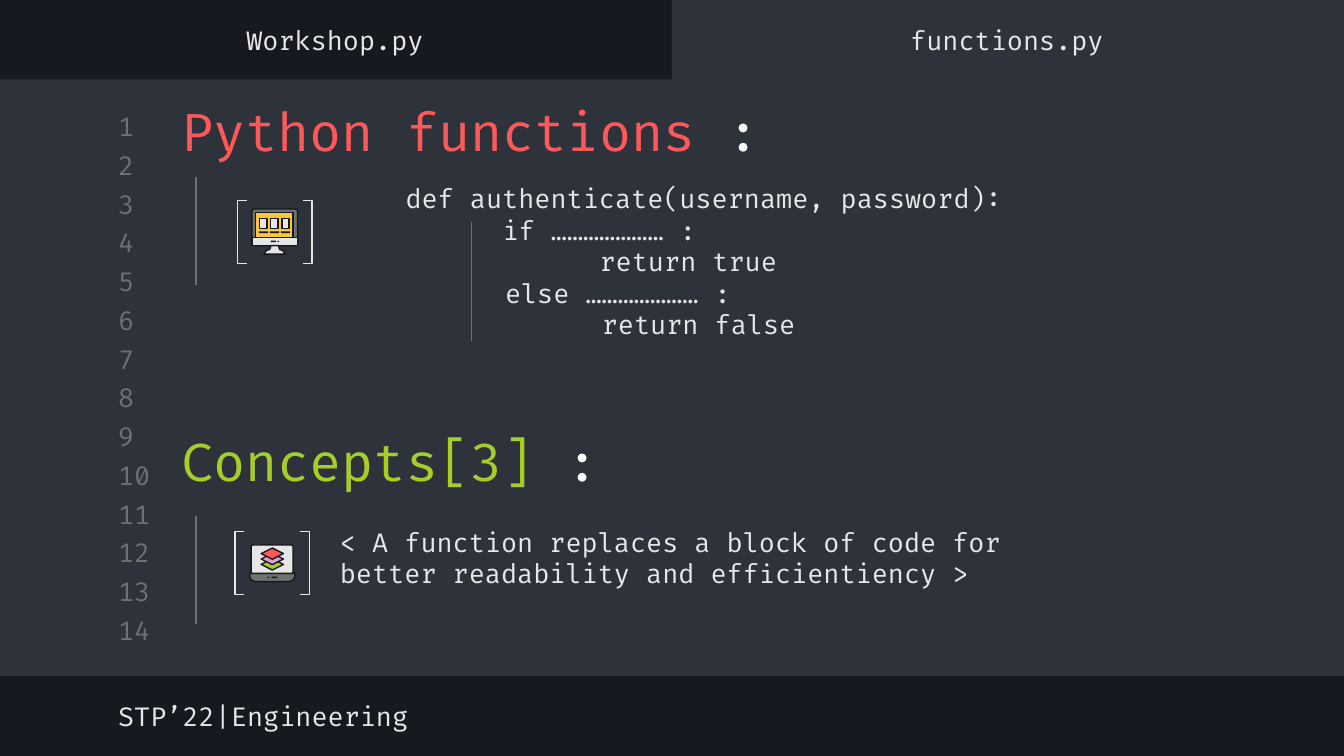
from lxml import etree
from pptx import Presentation
from pptx.dml.color import RGBColor
from pptx.enum import shapes as kinds, text as txt
from pptx.oxml import ns
from pptx.util import Pt

FONT = "Fira Code"
DARK, PANEL, GRAY, LIGHT = "16191F", "2E323B", "707070", "E7E7E7"
RED, GREEN, PINK, GOLD, WHITE = "FF5858", "A5CF27", "DBA0DB", "FCC642", "FFFFFF"
BOX = kinds.MSO_SHAPE.RECTANGLE
ROUND = kinds.MSO_SHAPE.ROUNDED_RECTANGLE
LEFT, RIGHT = kinds.MSO_SHAPE.LEFT_BRACKET, kinds.MSO_SHAPE.RIGHT_BRACKET
MID, TOP = txt.MSO_ANCHOR.MIDDLE, txt.MSO_ANCHOR.TOP


def color(code):
    return RGBColor.from_string(code)


def style(shape, fill=None, line=None, width=0.75):
    shape.shadow.inherit = False
    if fill:
        shape.fill.solid()
        shape.fill.fore_color.rgb = color(fill)
    else:
        shape.fill.background()
    if line:
        shape.line.color.rgb = color(line)
        shape.line.width = Pt(width)
    else:
        shape.line.fill.background()


def block(home, kind, area, fill=None, line=None, adj=None):
    shape = home.add_shape(kind, *map(Pt, area))
    if adj is not None:
        shape.adjustments[0] = adj
    style(shape, fill, line)


def outline(home, points, fill):
    first, *rest = [(Pt(x), Pt(y)) for x, y in points]
    pen = home.build_freeform(*first)
    pen.add_line_segments(rest, close=True)
    style(pen.convert_to_shape(), fill, DARK)


def rule(home, x, top, end):
    line = home.add_connector(kinds.MSO_CONNECTOR.STRAIGHT, Pt(x), Pt(top), Pt(x), Pt(end))
    line.line.color.rgb = color(GRAY)
    line.line.width = Pt(0.75)
    etree.SubElement(line._element.spPr, ns.qn("a:effectLst"))


def label(home, area, lines, size=14, anchor=MID, align=txt.PP_ALIGN.LEFT):
    frame = home.add_textbox(*map(Pt, area)).text_frame
    frame.word_wrap = True
    frame.vertical_anchor = anchor
    frame.margin_left = frame.margin_right = Pt(7.2)
    frame.margin_top = frame.margin_bottom = Pt(7.2)
    for i, (indent, parts) in enumerate(lines):
        para = frame.add_paragraph() if i else frame.paragraphs[0]
        para.alignment = align
        if indent:
            para._p.get_or_add_pPr().set("marL", str(Pt(indent)))
        for words, code in parts:
            run = para.add_run()
            run.text = words
            run.font.name = FONT
            run.font.size = Pt(size)
            run.font.color.rgb = color(code)


def plain(words, code=LIGHT, indent=0):
    return indent, [(words, code)]


def frame(home, left, right, top):
    pair = home.add_group_shape().shapes
    block(pair, LEFT, (left, top, 5, 33.8), line=LIGHT, adj=0)
    block(pair, RIGHT, (right, top, 5, 33.8), line=LIGHT, adj=0)


def screen(home):
    icon = home.add_group_shape().shapes
    block(icon, ROUND, (135, 112, 24.4, 19.6), GRAY, DARK, 0.06)
    block(icon, BOX, (137, 114, 20, 13.4), GOLD, DARK)
    block(icon, BOX, (135, 127.4, 24.4, 4.2), LIGHT, DARK)
    outline(icon, [(145.2, 131.6), (149.2, 131.6), (149.8, 133.6), (151.6, 134.4),
                   (152.8, 136.2), (141.4, 136.2), (142.6, 134.4), (144.6, 133.6)], LIGHT)
    for i in range(3):
        x = 139.2 + 5.9 * i
        block(icon, BOX, (x, 117.2, 3.9, 5.2), LIGHT, DARK)
        block(icon, BOX, (x - 0.5, 124, 4.9, 0.9), DARK)
    marks(icon, 145, 148.6, 129)


def laptop(home):
    icon = home.add_group_shape().shapes
    block(icon, ROUND, (134.6, 292, 22.4, 15.4), LIGHT, DARK, 0.06)
    outline(icon, [(133.7, 307.2), (158, 307.2), (157.8, 309.4), (156.8, 311),
                   (154.8, 311.6), (136.9, 311.6), (134.9, 311), (133.9, 309.4)], GRAY)
    for y, fill in ((302.4, GREEN), (299.5, PINK), (296.6, RED)):
        outline(icon, [(145.9, y - 3), (151.9, y), (145.9, y + 3), (139.9, y)], fill)
    marks(icon, 145.6, 143.4, 309)


def marks(home, bar, dot, y):
    block(home, ROUND, (bar, y, 2.8, 0.8), DARK)
    block(home, kinds.MSO_SHAPE.OVAL, (dot, y, 0.9, 0.8), DARK)


def main():
    deck = Presentation()
    deck.slide_width, deck.slide_height = Pt(720), Pt(405)
    slide = deck.slides.add_slide(deck.slide_layouts[6])
    slide.background.fill.solid()
    slide.background.fill.fore_color.rgb = color(DARK)
    home = slide.shapes

    block(home, BOX, (0, 42.5, 720, 319.7), PANEL)
    block(home, BOX, (360, 0, 360, 46.8), PANEL)
    for i in range(14):
        label(home, (56.2, 59 + 20.75 * i, 33.8, 17.3), [plain(str(i + 1), GRAY)])

    for i, name in enumerate(("Workshop.py", "functions.py")):
        label(home, (360 * i - 0.5, 7.2, 360, 28), [plain(name)], align=txt.PP_ALIGN.CENTER)
    label(home, (56.2, 369.4, 383, 28), [plain("STP’22|Engineering")])

    label(home, (90, 49, 389.5, 41.8), [(0, [("Python functions ", RED), (": ", WHITE)])], 28)
    label(home, (90, 226, 319.7, 41.8), [(0, [("Concepts[3] ", GREEN), (":", WHITE)])], 28)
    dots = "…" * 7
    label(home, (210.2, 90.7, 415.4, 265.7), [
        plain("def authenticate(username, password):"),
        plain(f"if {dots} :", indent=52),
        plain("return true", indent=104),
        plain(f"else {dots} :", indent=53.3),
        plain("return false", indent=105.2),
    ], anchor=TOP)
    label(home, (175, 267.8, 404.6, 62), [plain(
        "< A function replaces a block of code for better readability and efficientiency >")])

    rule(home, 105.1, 95, 152.6)
    rule(home, 252.7, 118.8, 182.9)
    rule(home, 105.1, 276.5, 334.1)
    screen(home)
    frame(home, 127.2, 162.2, 107.3)
    laptop(home)
    frame(home, 126, 161, 284.8)
    deck.save("out.pptx")


main()
